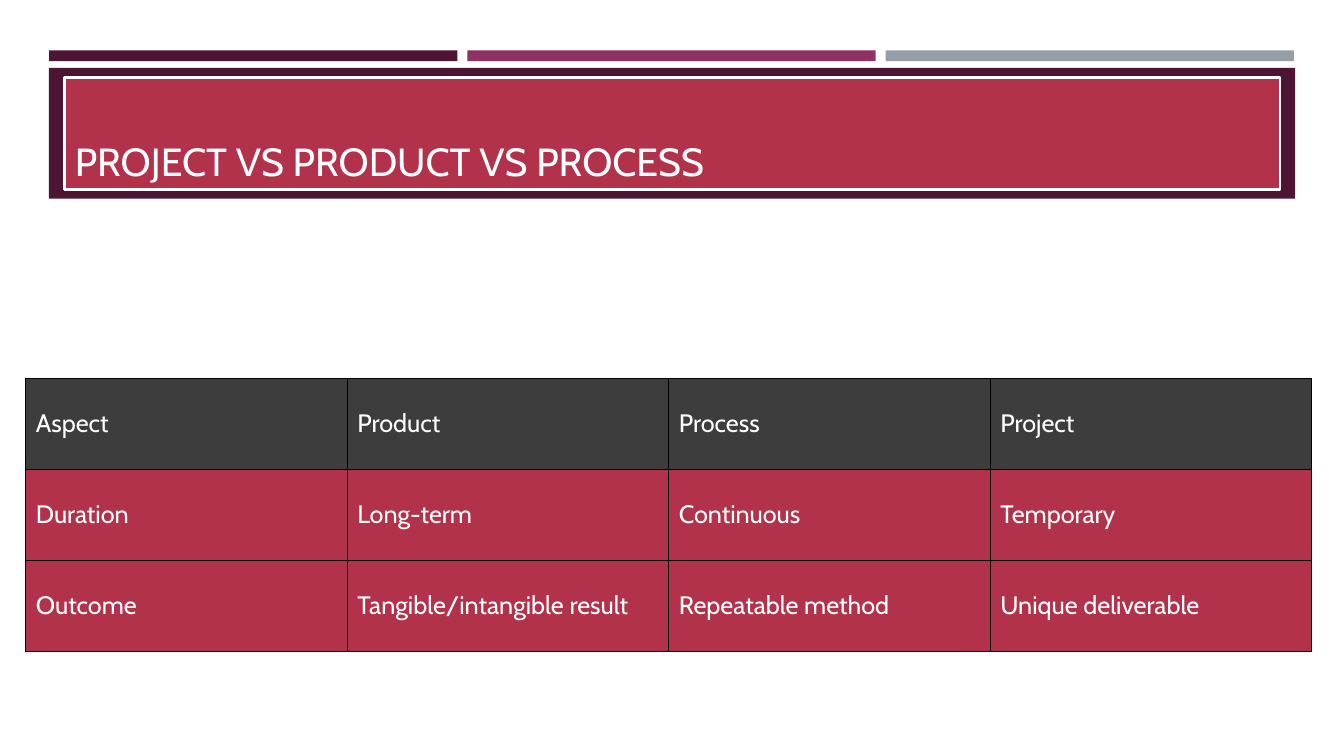
from lxml import etree
from pptx import Presentation
from pptx.dml.color import RGBColor
from pptx.enum.shapes import MSO_SHAPE
from pptx.enum.text import MSO_ANCHOR, MSO_AUTO_SIZE, PP_ALIGN
from pptx.oxml.ns import qn
from pptx.util import Cm, Pt

RECT = MSO_SHAPE.RECTANGLE
BOTTOM, MIDDLE = MSO_ANCHOR.BOTTOM, MSO_ANCHOR.MIDDLE
NO_AUTOFIT = MSO_AUTO_SIZE.NONE
LEFT = PP_ALIGN.LEFT

PLUM = RGBColor(0x4D, 0x14, 0x34)
MAGENTA = RGBColor(0x90, 0x31, 0x63)
GRAY = RGBColor(0x96, 0x9F, 0xA7)
CRIMSON = RGBColor(0xB2, 0x32, 0x4B)
CHARCOAL = RGBColor(0x3D, 0x3D, 0x3D)
WHITE = RGBColor(0xFF, 0xFF, 0xFF)
BLACK = RGBColor(0x00, 0x00, 0x00)

COMPARISON = [
    ["Aspect", "Product", "Process", "Project"],
    ["Duration", "Long-term", "Continuous", "Temporary"],
    ["Outcome", "Tangible/intangible result", "Repeatable method", "Unique deliverable"],
]


def write(tf, text, size=18, color=WHITE, font="Cabin", align=LEFT):
    p = tf.paragraphs[0]
    p.alignment = align
    r = p.add_run()
    r.text = text
    r.font.size = Pt(size)
    r.font.name = font
    r.font.bold = False
    r.font.color.rgb = color


def set_borders(cell, color, width):
    tcPr = cell._tc.get_or_add_tcPr()
    for side in ("a:lnL", "a:lnR", "a:lnT", "a:lnB"):
        ln = etree.SubElement(tcPr, qn(side), w=str(Pt(width)))
        fill = etree.SubElement(ln, qn("a:solidFill"))
        etree.SubElement(fill, qn("a:srgbClr"), val=str(color))


class SlideBuilder:
    def __init__(self, prs):
        self.s = prs.slides.add_slide(prs.slide_layouts[5])

    def bar(self, left, top, width, height, color):
        sp = self.s.shapes.add_shape(RECT, Cm(left), Cm(top), Cm(width), Cm(height))
        sp.shadow.inherit = False
        sp.fill.solid()
        sp.fill.fore_color.rgb = color
        sp.line.fill.background()

    def title(self, text, left, top, width, height):
        sp = self.s.shapes.title
        sp.element.getparent().append(sp.element)
        sp.left, sp.top, sp.width, sp.height = Cm(left), Cm(top), Cm(width), Cm(height)
        sp.fill.solid()
        sp.fill.fore_color.rgb = CRIMSON
        sp.line.color.rgb = WHITE
        sp.line.width = Pt(2)
        tf = sp.text_frame
        tf.word_wrap = True
        tf.auto_size = NO_AUTOFIT
        tf.vertical_anchor = BOTTOM
        write(tf, text, size=28)

    def table(self, rows, left, top, width, height):
        frame = self.s.shapes.add_table(
            len(rows), len(rows[0]), Cm(left), Cm(top), Cm(width), Cm(height))
        for i, row in enumerate(rows):
            for j, text in enumerate(row):
                cell = frame.table.cell(i, j)
                set_borders(cell, BLACK, 1)
                cell.fill.solid()
                cell.fill.fore_color.rgb = CRIMSON if i else CHARCOAL
                cell.vertical_anchor = MIDDLE
                write(cell.text_frame, text)


def main():
    prs = Presentation()
    prs.slide_width, prs.slide_height = Cm(33.87), Cm(19.05)
    slide = SlideBuilder(prs)
    for i, color in enumerate((PLUM, MAGENTA, GRAY)):
        slide.bar(1.24 + i * 10.54, 1.27, 10.29, 0.27, color)
    slide.bar(1.23, 1.71, 31.41, 3.3, PLUM)
    slide.title("PROJECT VS PRODUCT VS PROCESS", 1.63, 1.96, 30.63, 2.82)
    slide.table(COMPARISON, 0.65, 9.53, 32.41, 6.88)
    prs.save("out.pptx")


if __name__ == "__main__":
    main()
